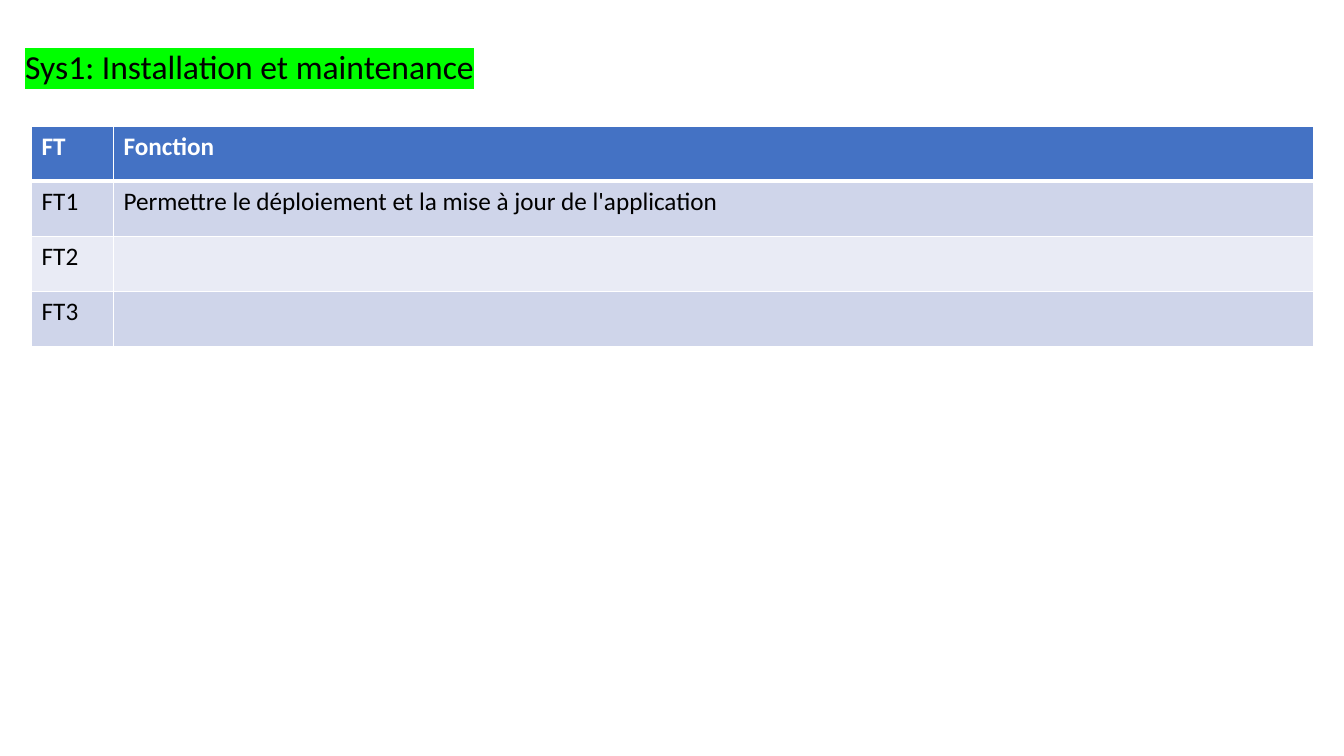
from dataclasses import dataclass

from lxml import etree
from pptx import Presentation
from pptx import util as u
from pptx.dml import color
from pptx.enum import text
from pptx.oxml import ns

COLORS = {
    "page": "FFFFFF",
    "ink": "000000",
    "highlight": "00FF00",
    "header": "4472C4",
    "odd": "CFD5EA",
    "even": "E9EBF5",
    "rule": "FFFFFF",
}
FONT = "Calibri"
COLUMN_WIDTHS = (58.5, 857.34)
ROW_HEIGHT = 39.42


@dataclass(frozen=True)
class FunctionRow:
    code: str
    function: str
    fill: str
    ink: str = "ink"
    bold: bool = False
    rule_above: float = 1
    rule_below: float = 1


ROWS = (
    FunctionRow("FT", "Fonction", "header", ink="page", bold=True, rule_below=3),
    FunctionRow("FT1", "Permettre le déploiement et la mise à jour de l'application",
                "odd", rule_above=3),
    FunctionRow("FT2", "", "even"),
    FunctionRow("FT3", "", "odd"),
)


def rgb(name: str) -> color.RGBColor:
    return color.RGBColor.from_string(COLORS[name])


def add_run(paragraph, wording: str, size: float, ink: str, bold: bool = False):
    run = paragraph.add_run()
    run.text = wording
    run.font.size = u.Pt(size)
    run.font.bold = bold
    run.font.name = FONT
    run.font.color.rgb = rgb(ink)
    return run


def highlight(run, name: str) -> None:
    """Mark the run; the schema wants the mark right after the text fill."""
    mark = etree.Element(ns.qn("a:highlight"))
    etree.SubElement(mark, ns.qn("a:srgbClr"), val=COLORS[name])
    run.font._element.find(ns.qn("a:solidFill")).addnext(mark)


def add_rule(cell, side: str, width: float) -> None:
    """Draw one cell border; side is L, R, T or B."""
    properties = cell._tc.get_or_add_tcPr()
    rule = etree.SubElement(properties, ns.qn(f"a:ln{side}"), w=str(u.Pt(width)))
    fill = etree.SubElement(rule, ns.qn("a:solidFill"))
    etree.SubElement(fill, ns.qn("a:srgbClr"), val=COLORS["rule"])


def fill_cell(cell, wording: str, row: FunctionRow) -> None:
    rules = {"L": 1, "R": 1, "T": row.rule_above, "B": row.rule_below}
    for side, width in rules.items():
        add_rule(cell, side, width)
    cell.fill.solid()
    cell.fill.fore_color.rgb = rgb(row.fill)
    if wording:
        add_run(cell.text_frame.paragraphs[0], wording, 18, row.ink, row.bold)


def add_heading(slide) -> None:
    heading = slide.shapes.title
    heading.left, heading.top = u.Pt(10.8), u.Pt(29.52)
    heading.width, heading.height = u.Pt(342), u.Pt(36)
    frame = heading.text_frame
    frame.word_wrap = False
    frame.auto_size = text.MSO_AUTO_SIZE.SHAPE_TO_FIT_TEXT
    frame.vertical_anchor = text.MSO_ANCHOR.TOP
    paragraph = frame.paragraphs[0]
    paragraph.alignment = text.PP_ALIGN.LEFT
    highlight(add_run(paragraph, "Sys1: Installation et maintenance", 24, "ink"),
              "highlight")


def add_functions(slide) -> None:
    functions = slide.shapes.add_table(
        len(ROWS), len(COLUMN_WIDTHS), u.Pt(22.6), u.Pt(90),
        u.Pt(sum(COLUMN_WIDTHS)), u.Pt(ROW_HEIGHT * len(ROWS))).table
    for column, width in zip(functions.columns, COLUMN_WIDTHS):
        column.width = u.Pt(width)
    for line, row in zip(functions.rows, ROWS):
        line.height = u.Pt(ROW_HEIGHT)
        for cell, wording in zip(line.cells, (row.code, row.function)):
            fill_cell(cell, wording, row)


def main() -> None:
    deck = Presentation()
    deck.slide_width, deck.slide_height = u.Pt(960), u.Pt(540)
    slide = deck.slides.add_slide(deck.slide_layouts.get_by_name("Title Only"))
    slide.background.fill.solid()
    slide.background.fill.fore_color.rgb = rgb("page")
    add_heading(slide)
    add_functions(slide)
    deck.save("out.pptx")


if __name__ == "__main__":
    main()
